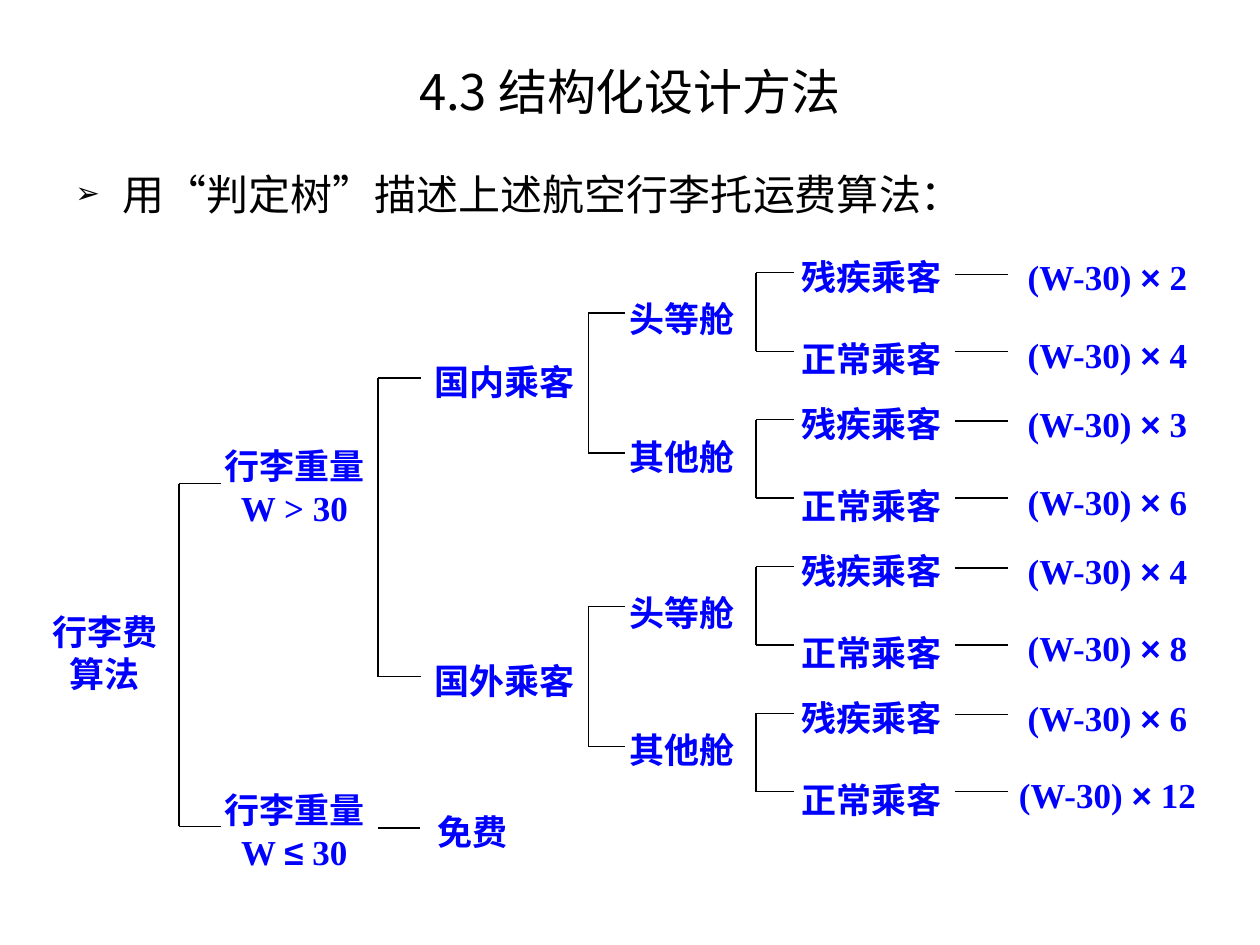
from dataclasses import dataclass
from itertools import groupby

from lxml import etree
from pptx import Presentation
from pptx.dml.color import RGBColor
from pptx.enum.shapes import MSO_CONNECTOR as Connector
from pptx.enum.text import MSO_ANCHOR as Anchor, PP_ALIGN as Align
from pptx.oxml.ns import qn
from pptx.util import Cm, Pt

CJK_FONT = "Noto Sans CJK SC"
BLACK, BLUE = "000000", "0000FF"
LABEL_HEIGHT = 0.91
LABEL_FORMAT = {"name": "Times New Roman", "size": Pt(20), "bold": True}
SYMBOLS = "×≤"
COLUMN_PASSENGER, COLUMN_CABIN, COLUMN_STATUS, COLUMN_FEE = 8.69, 12.27, 16.08, 20.32
CABIN_STEP = 2.96
PASSENGER_STEP = 2 * CABIN_STEP


@dataclass
class Label:
    text: str
    left: float
    top: float
    width: float = 2.97
    lines: int = 1


@dataclass
class Bracket:
    left: float
    top: float
    bottom: float
    arm: float


@dataclass
class Fork:
    bracket: Bracket
    labels: list[Label]


def color(value: str) -> RGBColor:
    return RGBColor.from_string(value)


def add_frame(slide, left: float, top: float, width: float, height: float, insets):
    """Add a wrapping text box with (side, top) insets and return its text frame."""
    frame = slide.shapes.add_textbox(Cm(left), Cm(top), Cm(width), Cm(height)).text_frame
    side, upper = map(Cm, insets)
    settings = {"word_wrap": True, "margin_left": side, "margin_right": side,
                "margin_top": upper, "margin_bottom": upper}
    for name, value in settings.items():
        setattr(frame, name, value)
    return frame


def add_run(paragraph, text: str, fill: str, formats: dict) -> None:
    run = paragraph.add_run()
    run.text = text
    for name, value in formats.items():
        setattr(run.font, name, value)
    run.font.color.rgb = color(fill)
    east_asian = etree.SubElement(run.font._element, qn("a:ea"))
    east_asian.set("typeface", CJK_FONT)


def add_label(slide, label: Label) -> None:
    height = LABEL_HEIGHT * label.lines
    frame = add_frame(slide, label.left, label.top, label.width, height, (0.05, 0.08))
    paragraph = frame.paragraphs[0]
    paragraph.alignment = Align.CENTER
    paragraph.line_spacing = Pt(24)
    for is_symbol, characters in groupby(label.text, lambda character: character in SYMBOLS):
        font = {"name": "Arial"} if is_symbol else {}
        add_run(paragraph, "".join(characters), BLUE, LABEL_FORMAT | font)


def add_line(slide, x1: float, y1: float, x2: float, y2: float) -> None:
    line = slide.shapes.add_connector(Connector.STRAIGHT, Cm(x1), Cm(y1), Cm(x2), Cm(y2))
    line.line.color.rgb = color(BLACK)
    line.line.width = Pt(0.75)
    etree.SubElement(line._element.spPr, qn("a:effectLst"))


def add_bracket(slide, bracket: Bracket) -> None:
    left, top, bottom = bracket.left, bracket.top, bracket.bottom
    for y in (top, bottom):
        add_line(slide, left, y, left + bracket.arm, y)
    add_line(slide, left, top, left, bottom)


def add_fork(slide, fork: Fork) -> None:
    add_bracket(slide, fork.bracket)
    for label in fork.labels:
        add_label(slide, label)


def add_title(slide) -> None:
    frame = add_frame(slide, 1.27, 0.84, 22.86, 1.98, (0.25, 0.13))
    frame.vertical_anchor = Anchor.MIDDLE
    paragraph = frame.paragraphs[0]
    paragraph.alignment = Align.CENTER
    add_run(paragraph, "4.3 结构化设计方法", BLACK, {"name": CJK_FONT, "size": Pt(28)})


def add_body(slide) -> None:
    frame = add_frame(slide, 1.27, 2.97, 22.86, 14.81, (0.25, 0.13))
    paragraph = frame.paragraphs[0]
    paragraph.line_spacing = Pt(37)
    properties = paragraph._p.get_or_add_pPr()
    properties.set("marL", str(Cm(0.96)))
    properties.set("indent", str(Cm(-0.96)))
    bullet_color = etree.SubElement(properties, qn("a:buClr"))
    etree.SubElement(bullet_color, qn("a:srgbClr")).set("val", BLACK)
    for tag, name, value in (("a:buSzPct", "val", "70000"),
                             ("a:buFont", "typeface", "Arial"),
                             ("a:buChar", "char", "➢")):
        etree.SubElement(properties, qn(tag)).set(name, value)
    add_run(paragraph, "用“判定树”描述上述航空行李托运费算法：", BLACK,
            {"name": "Arial", "size": Pt(24)})


def add_fees(slide, top: float, factors: tuple[int, int]) -> None:
    """Add the two passenger statuses of one cabin and the fee of each."""
    add_fork(slide, Fork(Bracket(15.24, top + 0.42, top + 2, 0.76),
                         [Label("残疾乘客", COLUMN_STATUS, top),
                          Label("正常乘客", COLUMN_STATUS, top + 1.65)]))
    for factor, line_offset, label_offset in zip(factors, (0.45, 2), (0, 1.56)):
        add_line(slide, 19.25, top + line_offset, COLUMN_FEE, top + line_offset)
        add_label(slide, Label(f"(W-30) × {factor}", COLUMN_FEE, top + label_offset, 4.01))


def add_tree(slide) -> None:
    add_label(slide, Label("行李费算法", 0.84, 12.22, 2.54, 2))
    add_fork(slide, Fork(Bracket(3.61, 9.75, 16.66, 0.85),
                         [Label("行李重量W > 30", 4.45, 8.89, lines=2),
                          Label("行李重量W ≤ 30", 4.45, 15.82, lines=2)]))
    add_line(slide, 7.62, 16.69, 8.46, 16.69)
    add_label(slide, Label("免费", 8.26, 16.26, 2.54))
    add_fork(slide, Fork(Bracket(7.62, 7.62, 13.64, 0.86),
                         [Label("国内乘客", COLUMN_PASSENGER, 7.19),
                          Label("国外乘客", COLUMN_PASSENGER, 13.21)]))
    for index in range(2):
        shift = index * PASSENGER_STEP
        add_fork(slide, Fork(Bracket(11.86, 6.31 + shift, 9.13 + shift, 0.74),
                             [Label("头等舱", COLUMN_CABIN, 5.92 + shift),
                              Label("其他舱", COLUMN_CABIN, 8.69 + shift)]))
    for index, factors in enumerate(((2, 4), (3, 6), (4, 8), (6, 12))):
        add_fees(slide, 5.08 + index * CABIN_STEP, factors)


def main() -> None:
    presentation = Presentation()
    presentation.slide_width, presentation.slide_height = Cm(25.4), Cm(19.05)
    slide = presentation.slides.add_slide(presentation.slide_layouts[6])
    add_body(slide)
    add_tree(slide)
    add_title(slide)
    presentation.save("out.pptx")


if __name__ == "__main__":
    main()
